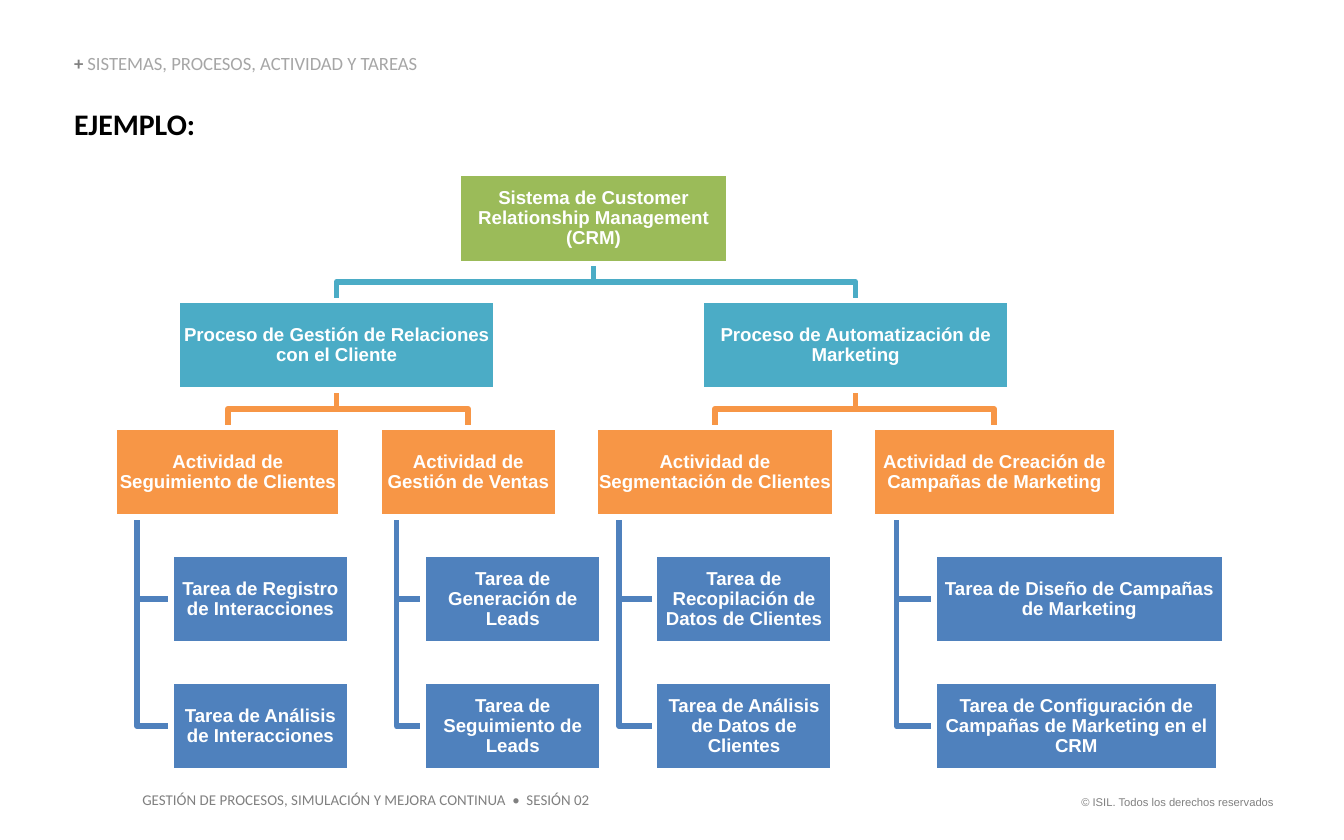
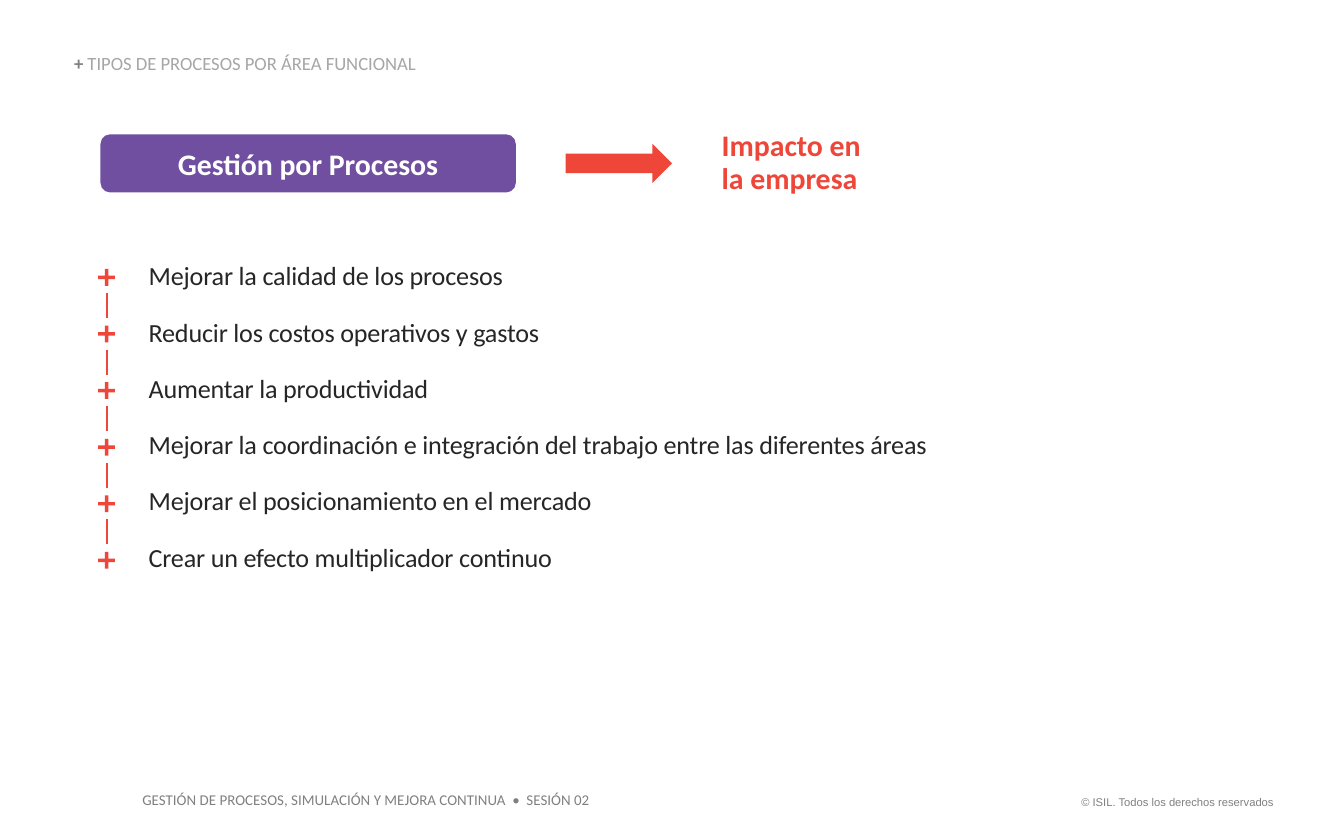
"""Build two slides: a process hierarchy and the business impact of process management."""
import pptx
import pptx.dml.color
import pptx.enum.shapes
import pptx.enum.text
import pptx.oxml
import pptx.util

Cm = pptx.util.Cm
Pt = pptx.util.Pt
MSO = pptx.enum.shapes.MSO_SHAPE
ALIGN = pptx.enum.text.PP_ALIGN
ANCHOR = pptx.enum.text.MSO_ANCHOR

GRAY, LIGHT_GRAY, BLACK, DARK, WHITE = "808080", "A6A6A6", "000000", "262626", "FFFFFF"
RED, PURPLE = "EE4639", "714FA0"
LEVEL_COLORS = ["9BBB59", "4BACC6", "F79646", "4F81BD", "4F81BD"]


def rgb(value):
    return pptx.dml.color.RGBColor.from_string(value)


def write(sp, text, size, color, bold=False, name="Calibri", align=ALIGN.LEFT,
          anchor=ANCHOR.TOP, spacing=1.0, inset=0.0, gap=0):
    tf = sp.text_frame
    tf.word_wrap = True
    tf.vertical_anchor = anchor
    if inset is not None:
        tf.margin_left = tf.margin_right = tf.margin_top = tf.margin_bottom = Cm(inset)
    tf.text = text
    for i, p in enumerate(tf.paragraphs):
        p.alignment = align
        p.line_spacing = spacing
        if i and gap:
            p.space_before = Pt(gap)
        p.font.name = name
        p.font.size = Pt(size)
        p.font.bold = bold
        p.font.color.rgb = rgb(color)
    return tf.paragraphs


prs = pptx.Presentation()
prs.slide_width, prs.slide_height = Cm(25.4), Cm(15.88)

slides = []
for heading in ["SISTEMAS, PROCESOS, ACTIVIDAD Y TAREAS", "TIPOS DE PROCESOS POR ÁREA FUNCIONAL"]:
    s = prs.slides.add_slide(prs.slide_layouts[6])
    slides.append(s)
    sp = s.shapes.add_textbox(Cm(20.02), Cm(14.91), Cm(4.3), Cm(0.5))
    write(sp, "© ISIL. Todos los derechos reservados", 6, GRAY, name="Arial",
          align=ALIGN.RIGHT, inset=None)
    sp = s.shapes.add_textbox(Cm(2.44), Cm(14.83), Cm(8.97), Cm(0.6))
    write(sp, "GESTIÓN DE PROCESOS, SIMULACIÓN Y MEJORA CONTINUA\u00a0 •\u00a0 SESIÓN 02".replace("\u00a0", " "),
          8, GRAY, inset=None)
    sp = s.shapes.add_textbox(Cm(1.4), Cm(1.04), Cm(7.85), Cm(0.38))
    p = write(sp, "+ ", 10, GRAY, bold=True, anchor=ANCHOR.BOTTOM, spacing=0.9)[0]
    r = p.add_run()
    r.text = heading
    r.font.bold = False
    r.font.color.rgb = rgb(LIGHT_GRAY)

s = slides[0]
sp = s.shapes.add_textbox(Cm(1.4), Cm(2.0), Cm(2.31), Cm(0.69))
write(sp, "EJEMPLO:", 16, BLACK, bold=True)

TOP, STEP, BOX_H = 3.28, 2.4, 1.7
nodes = [
    ("Sistema de Customer Relationship Management (CRM)", 0, 8.66, 5.11, None),
    ("Proceso de Gestión de Relaciones con el Cliente", 1, 3.35, 6.02, 0),
    ("Proceso de Automatización de Marketing", 1, 13.26, 5.82, 0),
    ("Actividad de Seguimiento de Clientes", 2, 2.16, 4.29, 1),
    ("Actividad de Gestión de Ventas", 2, 7.16, 3.38, 1),
    ("Actividad de Segmentación de Clientes", 2, 11.25, 4.52, 2),
    ("Actividad de Creación de Campañas de Marketing", 2, 16.48, 4.62, 2),
    ("Tarea de Registro de Interacciones", 3, 3.23, 3.38, 3),
    ("Tarea de Análisis de Interacciones", 4, 3.23, 3.38, 3),
    ("Tarea de Generación de Leads", 3, 8.0, 3.38, 4),
    ("Tarea de Seguimiento de Leads", 4, 8.0, 3.38, 4),
    ("Tarea de Recopilación de Datos de Clientes", 3, 12.37, 3.38, 5),
    ("Tarea de Análisis de Datos de Clientes", 4, 12.37, 3.38, 5),
    ("Tarea de Diseño de Campañas de Marketing", 3, 17.65, 5.49, 6),
    ("Tarea de Configuración de Campañas de Marketing en el CRM", 4, 17.65, 5.38, 6),
]

for text, level, left, width, parent in nodes[1:]:
    _, parent_level, parent_left, parent_width, _ = nodes[parent]
    start_y = TOP + parent_level * STEP + BOX_H
    top = TOP + level * STEP
    if level < 3:
        start_x = parent_left + parent_width / 2
        bend_y, end_x = (start_y + top) / 2, left + width / 2
        points = [(start_x, bend_y), (end_x, bend_y), (end_x, top)]
    else:
        start_x = parent_left + parent_width * 0.1
        middle = top + BOX_H / 2
        points = [(start_x, middle), (left, middle)]
    fb = s.shapes.build_freeform(Cm(start_x), Cm(start_y))
    fb.add_line_segments([(Cm(x), Cm(y)) for x, y in points], close=False)
    sp = fb.convert_to_shape()
    sp.shadow.inherit = False
    sp.fill.background()
    sp.line.color.rgb = rgb(LEVEL_COLORS[level])
    sp.line.width = Pt(3)

for text, level, left, width, parent in nodes:
    sp = s.shapes.add_shape(MSO.RECTANGLE, Cm(left), Cm(TOP + level * STEP), Cm(width), Cm(BOX_H))
    sp.shadow.inherit = False
    sp.fill.solid()
    sp.fill.fore_color.rgb = rgb(LEVEL_COLORS[level])
    sp.line.color.rgb = rgb(WHITE)
    sp.line.width = Pt(3)
    write(sp, text, 10, WHITE, bold=True, name="Arial", align=ALIGN.CENTER,
          anchor=ANCHOR.MIDDLE, spacing=0.9, inset=0.02)

s = slides[1]
benefits = [
    "Mejorar la calidad de los procesos",
    "Reducir los costos operativos y gastos",
    "Aumentar la productividad",
    "Mejorar la coordinación e integración del trabajo entre las diferentes áreas",
    "Mejorar el posicionamiento en el mercado",
    "Crear un efecto multiplicador continuo",
]
sp = s.shapes.add_textbox(Cm(2.81), Cm(4.98), Cm(19.15), Cm(5.92))
for p in write(sp, "\n".join(benefits), 14, DARK, spacing=0.9, gap=15):
    p.runs[0]._r.get_or_add_rPr().set("spc", "-10")

PITCH = 1.07
shapes = [
    (MSO.ROUNDED_RECTANGLE, 1.9, 2.54, 7.85, 1.1, PURPLE),
    (MSO.RIGHT_ARROW, 10.69, 2.72, 2.01, 0.74, RED),
]
shapes += [(MSO.MATH_PLUS, 1.8, 5.03 + i * PITCH, 0.43, 0.43, RED) for i in range(len(benefits))]
for kind, left, top, width, height, color in shapes:
    sp = s.shapes.add_shape(kind, Cm(left), Cm(top), Cm(width), Cm(height))
    sp.shadow.inherit = False
    sp.fill.solid()
    sp.fill.fore_color.rgb = rgb(color)
    sp.line.fill.background()
    if kind == MSO.ROUNDED_RECTANGLE:
        write(sp, "Gestión por Procesos", 16, WHITE, bold=True, align=ALIGN.CENTER,
              anchor=ANCHOR.MIDDLE, inset=None)
    elif kind == MSO.MATH_PLUS:
        sp.adjustments[0] = 0.15

sp = s.shapes.add_textbox(Cm(13.64), Cm(2.54), Cm(4.75), Cm(1.1))
write(sp, "Impacto en\vla empresa", 16, RED, bold=True, anchor=ANCHOR.MIDDLE, spacing=0.9)

for i in range(len(benefits) - 1):
    top = 5.54 + i * PITCH
    cn = s.shapes.add_connector(pptx.enum.shapes.MSO_CONNECTOR.STRAIGHT,
                                Cm(2.02), Cm(top), Cm(2.02), Cm(top + 0.47))
    cn.line.color.rgb = rgb(RED)
    cn.line.width = Pt(1)
    cn.element.spPr.append(pptx.oxml.parse_xml(
        '<a:effectLst xmlns:a="http://schemas.openxmlformats.org/drawingml/2006/main"/>'))

prs.save("out.pptx")
